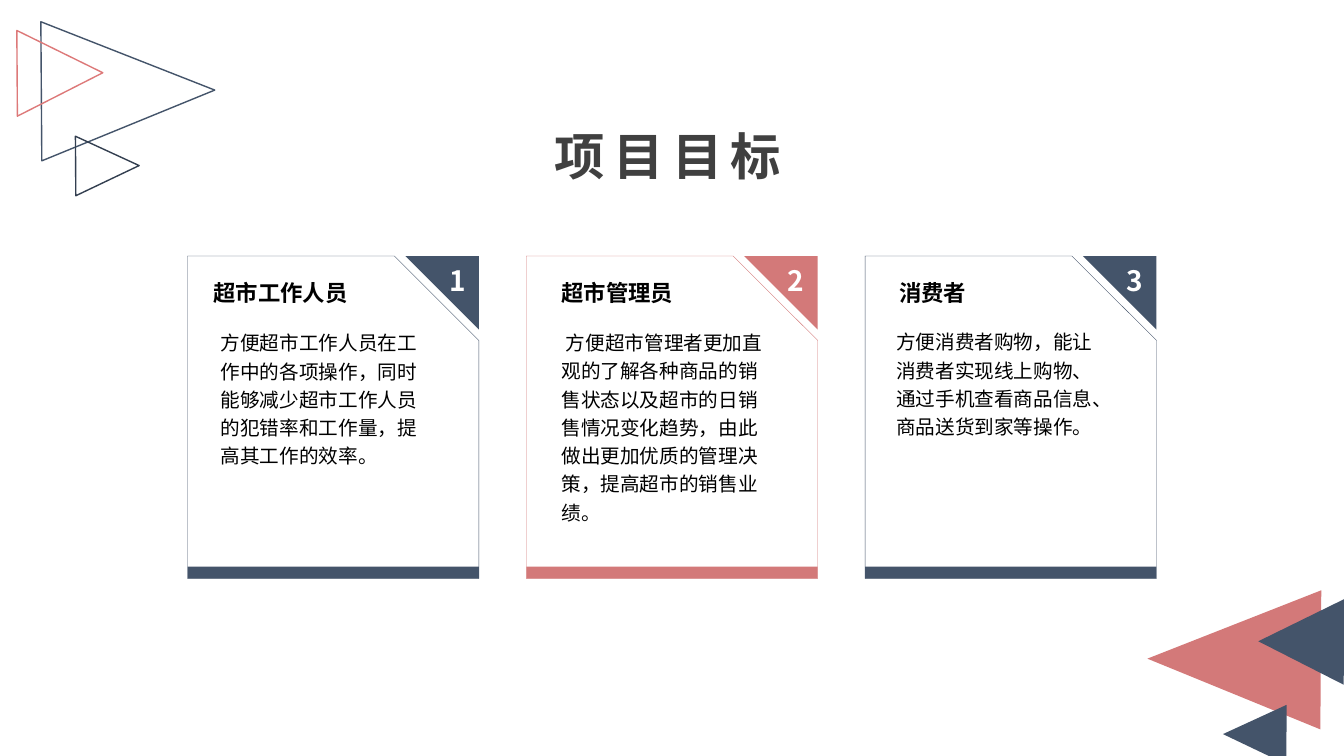
from lxml.etree import SubElement
from pptx import Presentation
from pptx.dml.color import RGBColor
from pptx.enum.shapes import MSO_SHAPE as Preset
from pptx.enum.text import MSO_ANCHOR as Anchor, MSO_AUTO_SIZE as AutoSize, PP_ALIGN as Align
from pptx.oxml.ns import qn
from pptx.util import Pt

# Colours and fonts
NAVY = RGBColor(0x44, 0x54, 0x6A)
DARK_NAVY = RGBColor(0x33, 0x3F, 0x50)
CORAL = RGBColor(0xD3, 0x79, 0x79)
LIGHT_CORAL = RGBColor(0xDD, 0x79, 0x79)
GREY = RGBColor(0x40, 0x40, 0x40)
WHITE = RGBColor(0xFF, 0xFF, 0xFF)
BLACK = RGBColor(0, 0, 0)
SANS, SANS_JP = "Noto Sans CJK SC", "Noto Sans CJK JP"

# Content: number, colour, heading, heading left, text, text box, text font
HEADLINE = "项目目标"
GOALS = [
    ("1", NAVY, "超市工作人员", 202,
     "方便超市工作人员在工作中的各项操作，同时能够减少超市工作人员的犯错率和工作量，提高其工作的效率。",
     (209, 319, 220, 151), SANS),
    ("2", CORAL, "超市管理员", 547,
     " 方便超市管理者更加直观的了解各种商品的销售状态以及超市的日销售情况变化趋势，由此做出更加优质的管理决策，提高超市的销售业绩。",
     (547, 319, 233, 234), SANS_JP),
    ("3", NAVY, "消费者", 882,
     "方便消费者购物，能让消费者实现线上购物、通过手机查看商品信息、商品送货到家等操作。",
     (879, 318, 233, 121), SANS),
]
# Corner triangles: box, rotation, fill, line
TRIANGLES = [
    ((1155, 568, 138, 172), 270.4, CORAL, None),
    ((1215, 697, 59, 63), 270.4, NAVY, None),
    ((1248, 594, 85, 85), 270.4, NAVY, None),
    ((58, 4, 138, 172), 89.6, None, NAVY),
    ((77, 133, 59, 63), 89.6, None, DARK_NAVY),
    ((17, 30, 85, 85), 89.6, None, LIGHT_CORAL),
]

# Geometry, 100 px to the inch
PX = 9144
CARD_LEFT, CARD_TOP, CARD_WIDTH, CARD_HEIGHT = 186, 254, 289, 320
CARD_PITCH = 336
BAR_HEIGHT, FLAG_SIZE = 12, 73
HEADING_TOP, HEADING_WIDTH, HEADING_HEIGHT = 272, 167, 37


def emu(*lengths):
    return [length * PX for length in lengths]


def paint(shape, fill=None, line=None, weight=1):
    shape.shadow.inherit = False
    if fill is None:
        shape.fill.background()
    else:
        shape.fill.solid()
        shape.fill.fore_color.rgb = fill
    if line is None:
        shape.line.fill.background()
    else:
        shape.line.color.rgb = line
        shape.line.width = Pt(weight)


def write(frame, text, size, colour=BLACK, bold=False, align=Align.LEFT,
          font=SANS, spacing=None, tracking=None):
    paragraph = frame.paragraphs[0]
    paragraph.alignment = align
    if spacing:
        paragraph.line_spacing = spacing
    run = paragraph.add_run()
    run.text = text
    run.font.size, run.font.bold, run.font.name = Pt(size), bold, font
    run.font.color.rgb = colour
    properties = run.font._element
    SubElement(properties, qn("a:ea")).set("typeface", font)
    if tracking:
        properties.set("spc", str(tracking * 100))


def set_margins(frame, x, y):
    frame.margin_left = frame.margin_right = x * PX
    frame.margin_top = frame.margin_bottom = y * PX


def add_text(box, text, size, **style):
    frame = slide.shapes.add_textbox(*emu(*box)).text_frame
    frame.word_wrap = True
    frame.auto_size = AutoSize.SHAPE_TO_FIT_TEXT
    write(frame, text, size, **style)
    return frame


def add_card(left, number, colour):
    panel = slide.shapes.add_shape(
        Preset.SNIP_1_RECTANGLE, *emu(left, CARD_TOP, CARD_WIDTH, CARD_HEIGHT))
    panel.adjustments[0] = 0.29
    paint(panel, WHITE, colour, 0.25)

    bar_top = CARD_TOP + CARD_HEIGHT - BAR_HEIGHT
    bar = slide.shapes.add_shape(
        Preset.RECTANGLE, *emu(left, bar_top, CARD_WIDTH, BAR_HEIGHT))
    paint(bar, colour)

    # Numbered corner flag
    right = left + CARD_WIDTH
    outline = slide.shapes.build_freeform(right, CARD_TOP, scale=PX)
    outline.add_line_segments(
        [(right - FLAG_SIZE, CARD_TOP), (right, CARD_TOP + FLAG_SIZE)], close=True)
    flag = outline.convert_to_shape()
    paint(flag, colour)
    flag.text_frame.vertical_anchor = Anchor.TOP
    set_margins(flag.text_frame, 13, 7)
    write(flag.text_frame, number, 20, colour=WHITE, bold=True, align=Align.RIGHT)


deck = Presentation()
deck.slide_width, deck.slide_height = emu(1333, 750)
slide = deck.slides.add_slide(deck.slide_layouts[6])

# Corner decoration
for box, rotation, fill, line in TRIANGLES:
    triangle = slide.shapes.add_shape(Preset.ISOSCELES_TRIANGLE, *emu(*box))
    triangle.rotation = rotation
    paint(triangle, fill, line)

# Headline
headline = add_text((458, 124, 409, 61), HEADLINE, 36, colour=GREY, bold=True,
                    align=Align.CENTER, tracking=6)
headline.vertical_anchor = Anchor.MIDDLE
set_margins(headline, 0, 0)

# Goal cards
for index, (number, colour, heading, heading_left, goal, goal_box, font) in enumerate(GOALS):
    add_card(CARD_LEFT + index * CARD_PITCH, number, colour)
    add_text((heading_left, HEADING_TOP, HEADING_WIDTH, HEADING_HEIGHT),
             heading, 16, bold=True)
    add_text(goal_box, goal, 14, font=font, spacing=1.2)

deck.save("out.pptx")
